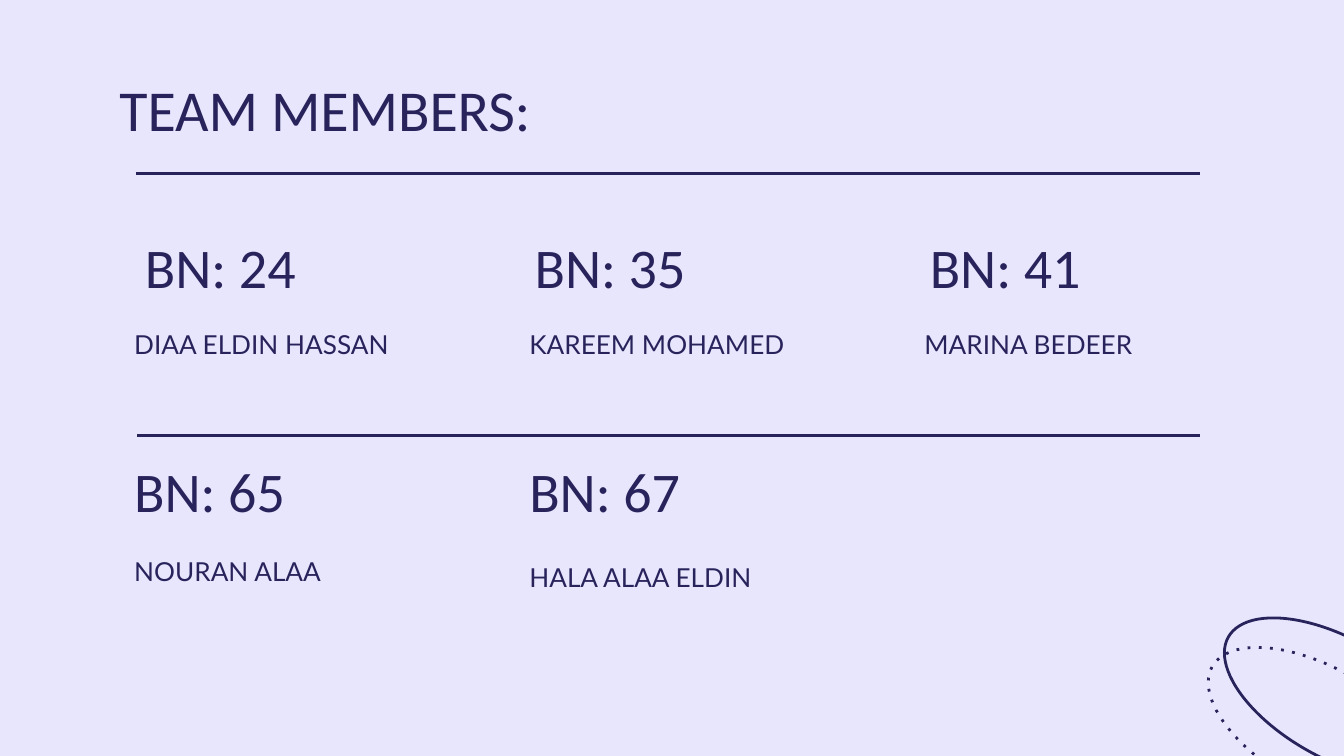
from pptx import Presentation
from pptx.dml.color import RGBColor
from pptx.enum.shapes import MSO_CONNECTOR, MSO_SHAPE
from pptx.enum.text import MSO_ANCHOR
from pptx.oxml.ns import qn
from pptx.util import Inches, Pt
from lxml import etree

LAVENDER = RGBColor(0xE7, 0xE6, 0xFD)
NAVY = RGBColor(0x29, 0x23, 0x5C)
STRAIGHT = MSO_CONNECTOR.STRAIGHT
OVAL = MSO_SHAPE.OVAL
MIDDLE = MSO_ANCHOR.MIDDLE

SLIDE_WIDTH = 10
LEFT_COLUMN = 0.9
COLUMN_STEP = 2.94
TEXT_HEIGHT = 0.48

presentation = Presentation()
presentation.slide_width = Inches(SLIDE_WIDTH)
presentation.slide_height = Inches(SLIDE_WIDTH * 9 / 16)
slide = presentation.slides.add_slide(presentation.slide_layouts[6])
slide.background.fill.solid()
slide.background.fill.fore_color.rgb = LAVENDER


def add_text(text, left, top, width, height, font_name, size):
    box = slide.shapes.add_textbox(Inches(left), Inches(top), Inches(width), Inches(height))
    frame = box.text_frame
    frame.word_wrap = True
    frame.vertical_anchor = MIDDLE
    frame.margin_left = frame.margin_right = Inches(0.1)
    frame.margin_top = frame.margin_bottom = Inches(0.1)
    run = frame.paragraphs[0].add_run()
    run.text = text
    run.font.name = font_name
    run.font.size = Pt(size)
    run.font.color.rgb = NAVY


# Corner ellipses
for left, top, dash in [(9.5, 4.27, "solid"), (9.38, 4.49, "dot")]:
    ellipse = slide.shapes.add_shape(OVAL, Inches(left), Inches(top), Inches(0.89), Inches(1.85))
    ellipse.rotation = 299.4
    ellipse.shadow.inherit = False
    ellipse.fill.background()
    ellipse.line.color.rgb = NAVY
    ellipse.line.width = Pt(1.5)
    outline = ellipse._element.spPr.find(qn("a:ln"))
    etree.SubElement(outline, qn("a:prstDash"), val=dash)

# Members: column, number, number indent, number top, name, name top
members = [
    (0, "BN: 24", 0.08, 1.74, "DIAA ELDIN HASSAN", 2.32),
    (1, "BN: 35", 0.04, 1.74, "KAREEM MOHAMED", 2.32),
    (2, "BN: 41", 0.04, 1.74, "MARINA BEDEER", 2.32),
    (0, "BN: 65", 0, 3.41, "NOURAN ALAA", 4.01),
    (1, "BN: 67", 0, 3.41, "HALA ALAA ELDIN", 4.05),
]
for column, number, indent, number_top, name, name_top in members:
    left = LEFT_COLUMN + column * COLUMN_STEP
    add_text(number, left + indent, number_top, 1.6, TEXT_HEIGHT, "Calibri", 30)
    add_text(name, left, name_top, 2.32, TEXT_HEIGHT, "Lato", 14)

add_text("TEAM MEMBERS:", 0.79, 0.49, 8.43, 0.63, "Calibri", 31)

# Rules above each row of members
for start, top in [(1.01, 1.29), (1.02, 3.24)]:
    rule = slide.shapes.add_connector(STRAIGHT, Inches(start), Inches(top), Inches(8.93), Inches(top))
    rule.line.color.rgb = NAVY
    rule.line.width = Pt(1.5)
    etree.SubElement(rule._element.spPr, qn("a:effectLst"))

presentation.save("out.pptx")
